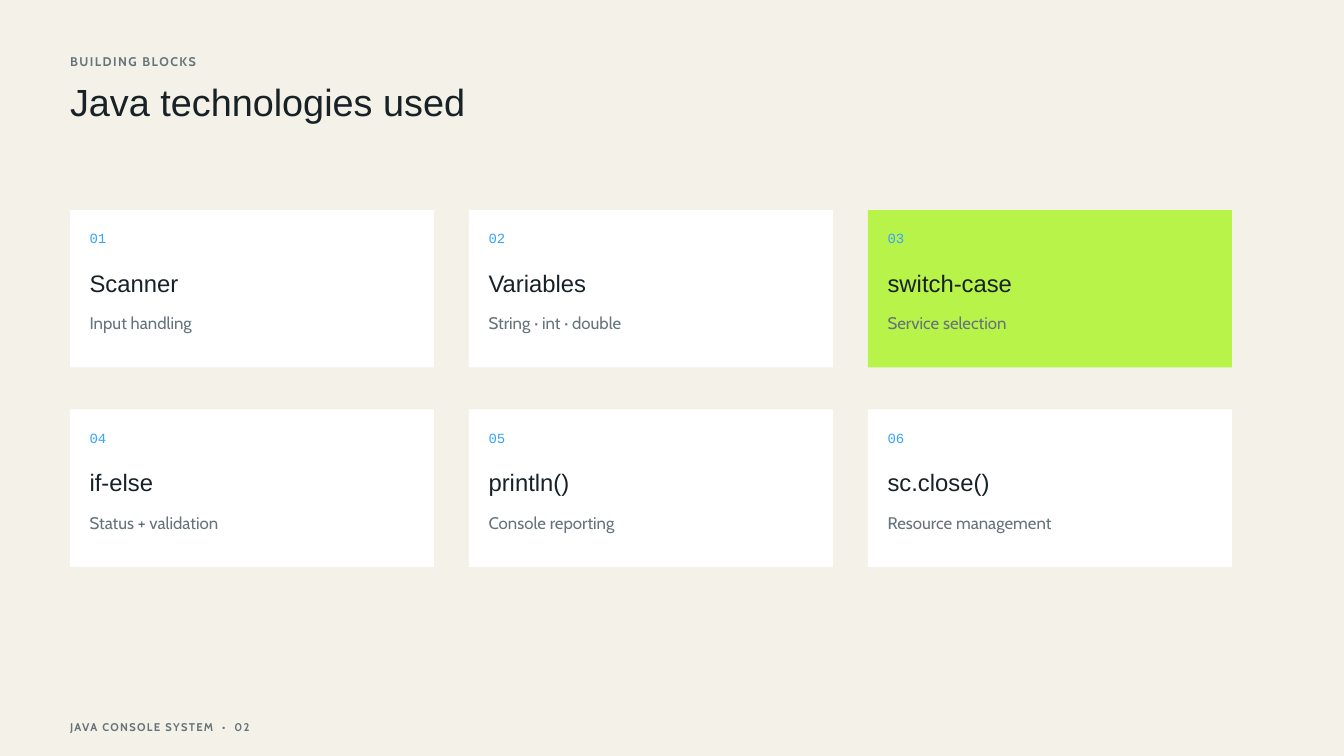
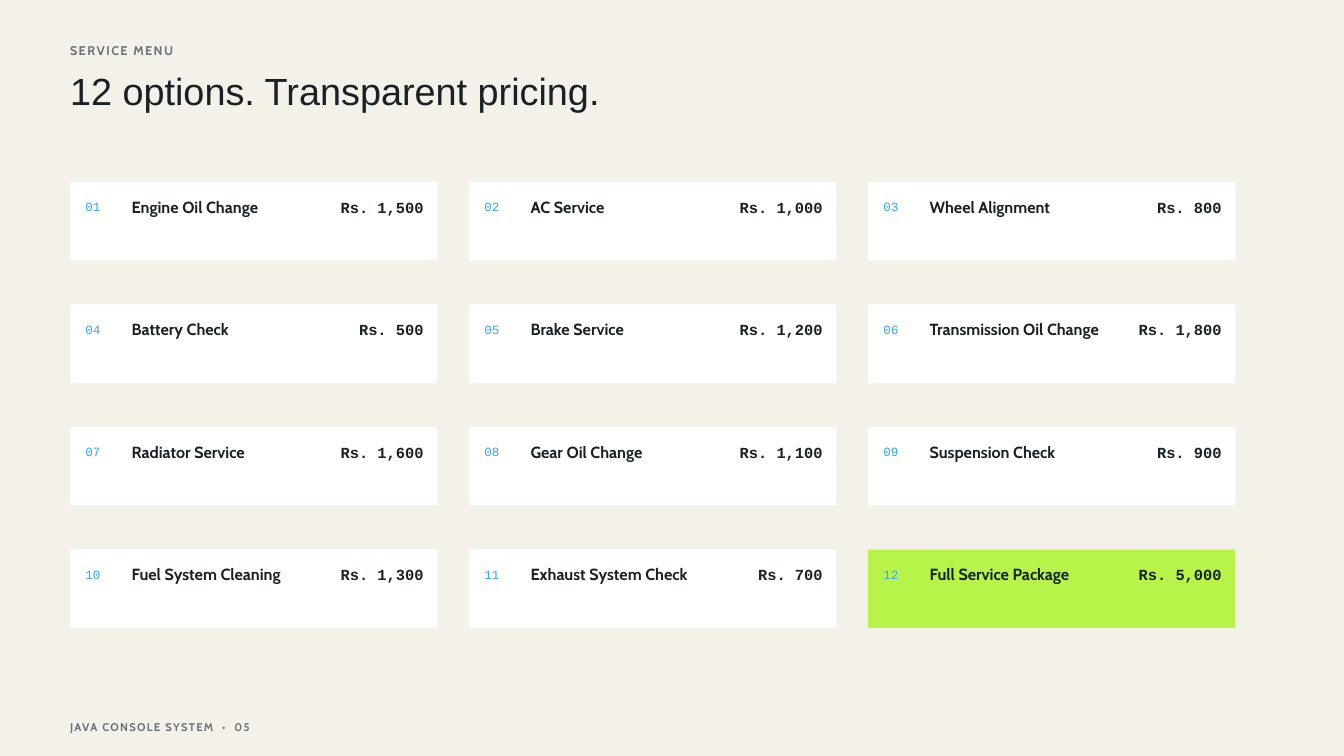
from dataclasses import dataclass
from typing import Any, NamedTuple

from pptx import Presentation
from pptx.dml.color import RGBColor
from pptx.enum.shapes import MSO_SHAPE as Preset
from pptx.enum.text import MSO_ANCHOR as Anchor
from pptx.enum.text import MSO_AUTO_SIZE as Fit
from pptx.enum.text import PP_ALIGN as Align
from pptx.util import Emu, Pt

PX = 9525
PAPER, INK, GREY = "F4F1E8", "172126", "66737A"
BLUE, LIME, WHITE = "36A3FF", "B8F34A", "FFFFFF"
SANS, BODY, MONO = "Arial", "Cabin", "Courier New"
LEFT = 100
COLS, STEP = 3, 570

KICKER = dict(size=13.5, font=BODY, color=GREY, bold=True, track=160)
FOOTER = dict(size=12, font=BODY, color=GREY, bold=True, track=140)
TITLE = dict(size=40.5, font=SANS, color=INK, lead=1.05)


class Slot(NamedTuple):
    """One text inside a card, placed from the card's top left corner."""
    left: int
    top: int
    width: int
    height: int
    style: dict[str, Any]


@dataclass(frozen=True)
class Grid:
    top: int
    step: int
    width: int
    height: int
    slots: tuple[Slot, ...]


@dataclass(frozen=True)
class Page:
    number: int
    kicker: str
    kicker_top: int
    title: str
    title_top: int
    grid: Grid
    cards: tuple[tuple[str, str], ...]
    accent: int


TOPICS = Grid(300, 285, 520, 225, (
    Slot(28, 24, 70, 26, dict(size=15, font=MONO, color=BLUE)),
    Slot(28, 77, 480, 45, dict(size=25.5, font=SANS, color=INK)),
    Slot(28, 142, 480, 32, dict(size=18, font=BODY, color=GREY)),
))
PRICES = Grid(260, 175, 525, 112, (
    Slot(22, 21, 55, 24, dict(size=13.5, font=MONO, color=BLUE)),
    Slot(88, 17, 300, 31, dict(size=17.25, font=BODY, color=INK, bold=True)),
    Slot(385, 18, 120, 29, dict(size=16.5, font=MONO, color=INK, bold=True,
                                align=Align.RIGHT)),
))

PAGES = (
    Page(2, "BUILDING BLOCKS", 73, "Java technologies used", 120, TOPICS, (
        ("Scanner", "Input handling"),
        ("Variables", "String · int · double"),
        ("switch-case", "Service selection"),
        ("if-else", "Status + validation"),
        ("println()", "Console reporting"),
        ("sc.close()", "Resource management"),
    ), accent=3),
    Page(5, "SERVICE MENU", 57, "12 options. Transparent pricing.", 105, PRICES, (
        ("Engine Oil Change", "Rs. 1,500"),
        ("AC Service", "Rs. 1,000"),
        ("Wheel Alignment", "Rs. 800"),
        ("Battery Check", "Rs. 500"),
        ("Brake Service", "Rs. 1,200"),
        ("Transmission Oil Change", "Rs. 1,800"),
        ("Radiator Service", "Rs. 1,600"),
        ("Gear Oil Change", "Rs. 1,100"),
        ("Suspension Check", "Rs. 900"),
        ("Fuel System Cleaning", "Rs. 1,300"),
        ("Exhaust System Check", "Rs. 700"),
        ("Full Service Package", "Rs. 5,000"),
    ), accent=12),
)


def px(*lengths: int) -> list[Emu]:
    return [Emu(length * PX) for length in lengths]


def paint(fill: Any, color: str) -> None:
    fill.solid()
    fill.fore_color.rgb = RGBColor.from_string(color)


def write(shape: Any, text: str, *, size: float, font: str, color: str,
          bold: bool = False, track: int = 0, lead: float = 1.4,
          align: Any = Align.LEFT) -> None:
    """Fill a shape with one line; track is in hundredths of a point."""
    frame = shape.text_frame
    frame.margin_left = frame.margin_right = 0
    frame.margin_top = frame.margin_bottom = 0
    frame.word_wrap = True
    frame.auto_size = Fit.SHAPE_TO_FIT_TEXT
    frame.vertical_anchor = Anchor.TOP
    line = frame.paragraphs[0]
    line.alignment = align
    line.line_spacing = Pt(size * lead)
    run = line.add_run()
    run.text = text
    run.font.size, run.font.name, run.font.bold = Pt(size), font, bold
    paint(run.font.fill, color)
    if track:
        run.font._element.set("spc", str(track))


def label(shapes: Any, box: tuple[int, ...], text: str, **style: Any) -> None:
    write(shapes.add_textbox(*px(*box)), text, **style)


def draw_card(slide: Any, grid: Grid, number: int, texts: tuple[str, str],
              color: str) -> None:
    row, col = divmod(number - 1, COLS)
    left, top = LEFT + col * STEP, grid.top + row * grid.step
    shapes = slide.shapes.add_group_shape().shapes
    card = shapes.add_shape(Preset.RECTANGLE, *px(left, top, grid.width, grid.height))
    card.shadow.inherit = False
    card.line.fill.background()
    paint(card.fill, color)
    for slot, text in zip(grid.slots, (f"{number:02}", *texts)):
        box = (left + slot.left, top + slot.top, slot.width, slot.height)
        label(shapes, box, text, **slot.style)


def draw_page(deck: Any, page: Page) -> None:
    slide = deck.slides.add_slide(deck.slide_layouts[5])
    label(slide.shapes, (LEFT, page.kicker_top, 500, 24), page.kicker, **KICKER)
    title = slide.shapes.title
    title.left, title.top, title.width, title.height = px(LEFT, page.title_top, 1200, 60)
    write(title, page.title, **TITLE)
    for number, texts in enumerate(page.cards, 1):
        color = LIME if number == page.accent else WHITE
        draw_card(slide, page.grid, number, texts, color)
    label(slide.shapes, (LEFT, 1026, 600, 21),
          f"JAVA CONSOLE SYSTEM  •  {page.number:02}", **FOOTER)


def main() -> None:
    deck = Presentation()
    deck.slide_width, deck.slide_height = px(1920, 1080)
    paint(deck.slide_master.background.fill, PAPER)
    for page in PAGES:
        draw_page(deck, page)
    deck.save("out.pptx")


if __name__ == "__main__":
    main()
